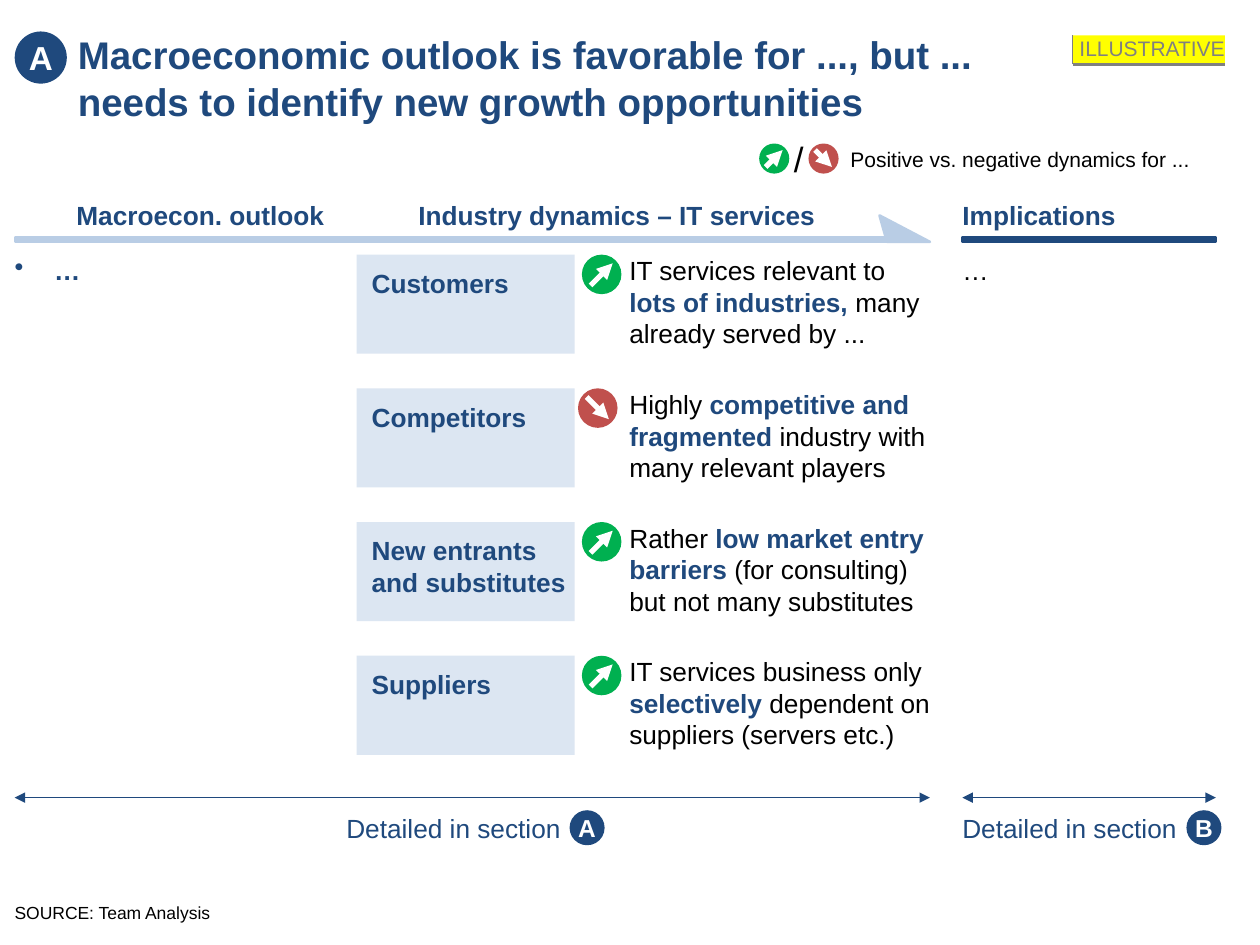
import pptx
import pptx.dml.color
import pptx.enum.shapes
import pptx.enum.text
import pptx.oxml
import pptx.oxml.ns
import pptx.util
from dataclasses import dataclass
from lxml import etree

Pt = pptx.util.Pt
Shape = pptx.enum.shapes.MSO_SHAPE
Align = pptx.enum.text.PP_ALIGN
Anchor = pptx.enum.text.MSO_ANCHOR


@dataclass(frozen=True)
class Theme:
    font: str = "Arial"
    navy: str = "1F497D"
    sky: str = "B9CDE5"
    pale: str = "DCE6F2"
    green: str = "00B050"
    red: str = "C0504D"
    yellow: str = "FFFF00"
    gray: str = "808080"
    black: str = "000000"
    white: str = "FFFFFF"
    title: int = 22
    slash: int = 20
    marker: int = 19
    body: int = 15
    small_marker: int = 14
    note: int = 12
    source: int = 10


THEME = Theme()


def rgb(value):
    return pptx.dml.color.RGBColor.from_string(value)


def write_text(frame, text, size=THEME.body, color=THEME.black, bold=False, align=Align.LEFT,
               anchor=Anchor.TOP, wrap=True, insets=(0, 0, 0, 0), indent=0, bullet=None):
    """Fill a frame with one paragraph; *starred* parts are bold and navy."""
    frame.word_wrap = wrap
    frame.vertical_anchor = anchor
    frame.margin_left, frame.margin_top, frame.margin_right, frame.margin_bottom = map(Pt, insets)
    para = frame.paragraphs[0]
    para.alignment = align
    if indent:
        properties = para._p.get_or_add_pPr()
        properties.set("marL", str(Pt(indent)))
        properties.set("indent", str(-Pt(indent) if bullet else 0))
        if bullet:
            etree.SubElement(properties, pptx.oxml.ns.qn("a:buChar")).set("char", bullet)
    for number, part in enumerate(text.split("*")):
        strong = number % 2 == 1
        span = para.add_run()
        span.text = part
        span.font.name = THEME.font
        span.font.size = Pt(size)
        span.font.bold = bold or strong
        span.font.color.rgb = rgb(THEME.navy if strong else color)


class SlideBuilder:
    def __init__(self, theme, page):
        self.theme = theme
        self.page = page

    def text(self, left, top, width, height, text, **style):
        box = self.page.shapes.add_textbox(Pt(left), Pt(top), Pt(width), Pt(height))
        write_text(box.text_frame, text, **style)

    def paint(self, shape, fill, outline=None):
        shape.shadow.inherit = False
        shape.fill.solid()
        shape.fill.fore_color.rgb = rgb(fill)
        if outline:
            shape.line.color.rgb = rgb(fill)
            shape.line.width = Pt(outline)
        else:
            shape.line.fill.background()

    def shape(self, kind, left, top, width, height, fill, outline=None):
        shape = self.page.shapes.add_shape(kind, Pt(left), Pt(top), Pt(width), Pt(height))
        self.paint(shape, fill, outline)
        return shape

    def polygon(self, points, fill, outline):
        corners = [(Pt(x), Pt(y)) for x, y in points]
        builder = self.page.shapes.build_freeform(*corners[0])
        builder.add_line_segments(corners[1:], close=True)
        self.paint(builder.convert_to_shape(), fill, outline)

    def line(self, start, end, color, width, heads=()):
        line = self.page.shapes.add_connector(
            pptx.enum.shapes.MSO_CONNECTOR.STRAIGHT, *map(Pt, (*start, *end)))
        line.line.color.rgb = rgb(color)
        line.line.width = Pt(width)
        for head in heads:
            etree.SubElement(line.line._ln, pptx.oxml.ns.qn(head)).set("type", "triangle")
        etree.SubElement(line._element.spPr, pptx.oxml.ns.qn("a:effectLst"))

    def badge(self, left, top, diameter, letter, size):
        circle = self.shape(Shape.OVAL, left, top, diameter, diameter, self.theme.navy)
        write_text(circle.text_frame, letter, size=size, color=self.theme.white, bold=True,
                   align=Align.CENTER, anchor=Anchor.MIDDLE, wrap=False)

    def trend(self, left, top, diameter, positive):
        fill = self.theme.green if positive else self.theme.red
        self.shape(Shape.OVAL, left, top, diameter, diameter, fill)
        near, far = 0.22 * diameter, 0.78 * diameter
        start_y, end_y = (far, near) if positive else (near, far)
        self.line((left + near, top + start_y), (left + far, top + end_y),
                  self.theme.white, 3, ["a:tailEnd"])

    def heading(self, left, width, text, indent=0):
        self.text(left, 113.8, width, 19.4, text, color=self.theme.navy, bold=True,
                  anchor=Anchor.BOTTOM, insets=(0, 0, 0, 1.4), indent=indent)

    def section_note(self, left, badge_left, letter):
        self.text(left, 464.4, 153, 18, "Detailed in section", color=self.theme.navy,
                  insets=(4.2, 0, 0, 0))
        self.badge(badge_left, 463, 20, letter, self.theme.small_marker)


def main():
    deck = pptx.Presentation()
    deck.slide_width, deck.slide_height = Pt(720), Pt(540)
    page = deck.slides.add_slide(deck.slide_layouts[6])
    slide = SlideBuilder(THEME, page)

    left, right = 8.8, 531.4
    forces_left, implications_left, implications_width = 203.8, 550, 144.8
    bar_top, content_top, row_pitch = 135.5, 145.5, 76.4

    # Title and source
    slide.text(9, 18, 569, 53, "Macroeconomic outlook is favorable for ..., but ... "
               "needs to identify new growth opportunities",
               size=THEME.title, color=THEME.navy, bold=True, indent=35.5)
    slide.badge(8.4, 18, 29.8, "A", THEME.marker)
    slide.text(8.4, 515.5, 401, 12.2, "SOURCE: Team Analysis", size=THEME.source)

    # Column headings with their bars
    slide.polygon([(506.9, 138.2), (502.6, 123.1), (right, 138.2)], THEME.sky, 1.5)
    slide.shape(Shape.RECTANGLE, left, bar_top, 510.5, 2.9, THEME.sky, 1.5)
    slide.shape(Shape.RECTANGLE, implications_left, bar_top, implications_width, 2.9, THEME.navy, 1.5)
    slide.heading(8.4, 178.6, "Macroecon. outlook", indent=35.3)
    slide.heading(forces_left, 265, "Industry dynamics – IT services", indent=35.3)
    slide.heading(implications_left, implications_width, "Implications")

    # Outlook and implications
    slide.text(8.4, content_top, 178.6, 18, "…", color=THEME.navy, bold=True, indent=22.6, bullet="•")
    slide.text(implications_left, content_top, implications_width, 18, "…")

    # Industry forces
    forces = [
        ("Customers", True, "IT services relevant to *lots of industries, *many already served by ..."),
        ("Competitors", False,
         "Highly *competitive and fragmented *industry with many relevant players"),
        ("New entrants and substitutes", True,
         "Rather *low market entry barriers* (for consulting) but not many substitutes"),
        ("Suppliers", True,
         "IT services business only *selectively *dependent on suppliers (servers etc.)"),
    ]
    for row, (force, positive, finding) in enumerate(forces):
        top = content_top + row * row_pitch
        slide.shape(Shape.RECTANGLE, forces_left, top, 124.6, 56.6, THEME.pale)
        slide.text(212.4, top + 7.1, 113, 18, force, color=THEME.navy, bold=True)
        slide.text(337, top, 195.8, 54.7, finding, indent=22.6)
        slide.trend(332.5 if positive else 330.3, top, 22.6, positive)

    # Legend
    slide.trend(462, 82, 17.2, False)
    slide.trend(433.8, 82, 17.2, True)
    slide.text(449.3, 78.5, 14.4, 24.5, "/", size=THEME.slash, align=Align.CENTER)
    slide.text(486, 83.5, 208, 14.4, "Positive vs. negative dynamics for ...", size=THEME.note)

    # Section references
    for start, end in ((8.4, right), (implications_left, implications_left + implications_width)):
        slide.line((start, 455.8), (end, 455.8), THEME.navy, 0.75, ["a:headEnd", "a:tailEnd"])
    slide.section_note(193.7, 325.5, "A")
    slide.section_note(545.7, 678, "B")

    # Illustrative tag
    tag_left, tag_top, tag_right, tag_bottom = 613, 20.2, 700, 36.7
    tag = slide.shape(Shape.RECTANGLE, tag_left, tag_top, tag_right - tag_left,
                      tag_bottom - tag_top, THEME.yellow)
    write_text(tag.text_frame, "ILLUSTRATIVE", size=THEME.note, color=THEME.gray,
               align=Align.RIGHT, wrap=False, insets=(2.9, 0, 0, 2.2))
    slide.line((tag_right, tag_bottom), (tag_left, tag_bottom), THEME.gray, 1.5)
    slide.line((tag_left, tag_top), (tag_left, tag_bottom), THEME.gray, 0.75)

    deck.save("out.pptx")


if __name__ == "__main__":
    main()
